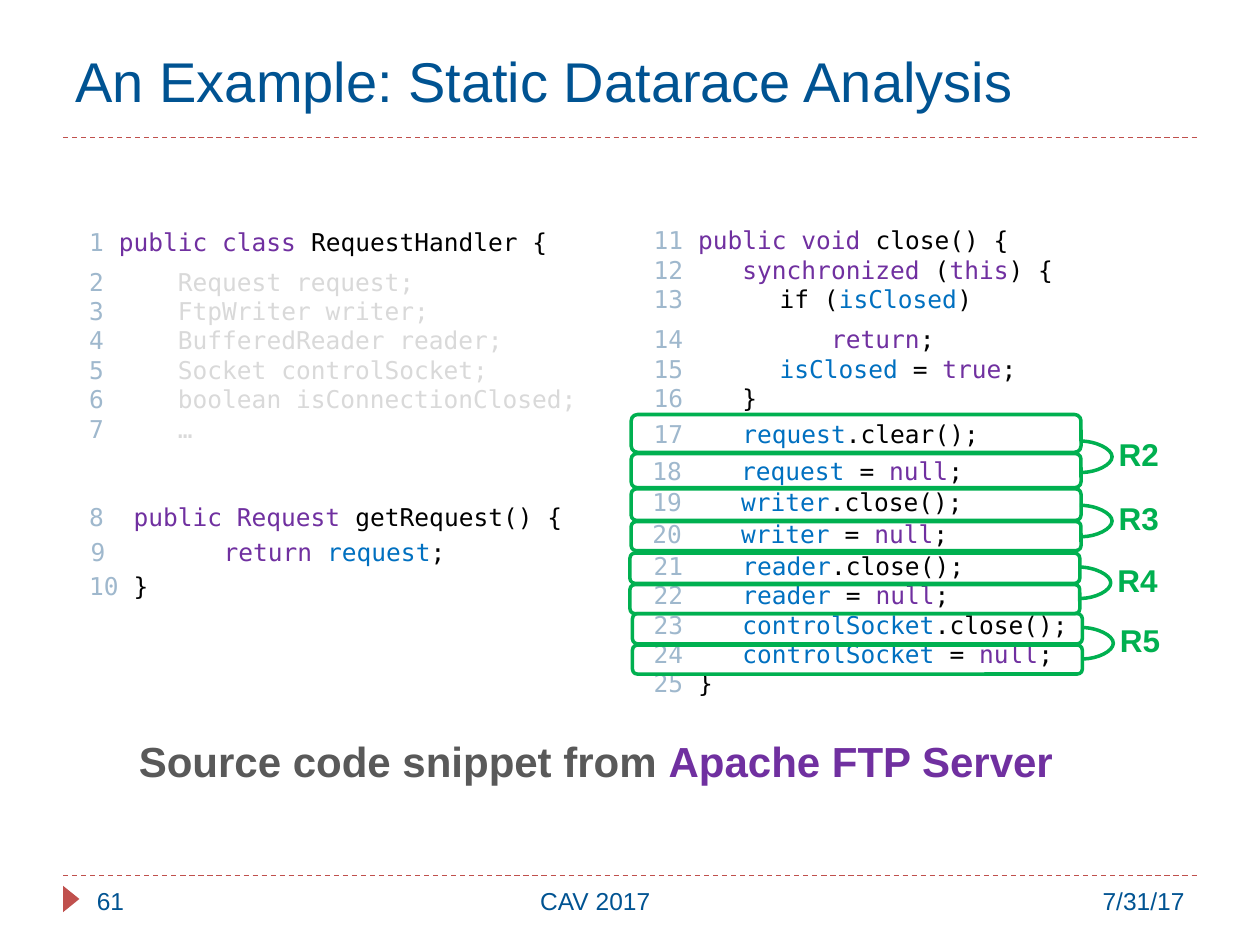
"""Build the slide on static datarace analysis with its annotated code listing."""
from dataclasses import dataclass
from typing import NamedTuple

from lxml.etree import SubElement
from pptx import Presentation
from pptx.dml.color import RGBColor
from pptx.enum.dml import MSO_LINE
from pptx.enum.shapes import MSO_CONNECTOR, MSO_SHAPE
from pptx.enum.text import MSO_ANCHOR, PP_ALIGN
from pptx.oxml.ns import qn
from pptx.util import Inches, Pt

COLUMNS, ROWS = 20, 15
WIDTH, HEIGHT = Inches(10), Inches(7.5)
COLORS = {
    "number": "9FB8CD", "keyword": "7030A0", "field": "0070C0", "plain": "000000",
    "faded": "D9D9D9", "heading": "005392", "rule": "C0504D", "race": "00B050",
    "caption": "595959",
}
CODE_FONT, TEXT_FONT = "DejaVu Sans Mono", "Arial"


class Box(NamedTuple):
    """Hold a place on the slide grid, in columns and rows."""
    column: float
    row: float
    columns: float
    rows: float


class Token(NamedTuple):
    """Hold a piece of text and the name of its colour."""
    text: str
    color: str = "plain"


@dataclass
class Line:
    """Describe one line of text and the gap above it in points."""
    tokens: list[Token]
    gap: float = 0


@dataclass
class Race:
    """Describe a racing pair of statements."""
    label: str
    left: float
    frames: tuple[tuple[float, float], tuple[float, float]]
    arc_row: float


def code(number: str, *tokens: Token, gap: float = 0) -> Line:
    """Return a code line led by its number."""
    return Line([Token(number, "number"), *tokens], gap)


def keyword(text: str) -> Token:
    """Return a keyword token."""
    return Token(text, "keyword")


def field(text: str) -> Token:
    """Return a field token."""
    return Token(text, "field")


def close_call(number: int, name: str, method: str = "close", gap: float = 0) -> Line:
    """Return a line that calls a method of a field."""
    return code(f"{number}    ", field(name), Token(f".{method}();"), gap=gap)


def null_assignment(number: int, name: str) -> Line:
    """Return a line that sets a field to null."""
    return code(f"{number}    ", field(f"{name} "), Token("= "), keyword("null"), Token(";"))


DECLARATIONS = ["Request request;", "FtpWriter writer;", "BufferedReader reader;",
                "Socket controlSocket;", "boolean isConnectionClosed;", "…"]
HANDLER_CODE = [
    code("1 ", keyword("public class "), Token("RequestHandler {")),
    *(code(f"{number}     ", Token(text, "faded"), gap=6 if number == 2 else 0)
      for number, text in enumerate(DECLARATIONS, 2)),
    code("8  ", keyword("public Request "), Token("getRequest() {"), gap=33.6),
    code("10", Token(" }"), gap=22.8),
]
CLOSE_CODE = [
    code("11 ", keyword("public void "), Token("close() {")),
    code("12    ", keyword("synchronized"), Token(" ("), keyword("this"), Token(") {")),
    code("13", Token("    \tif ("), field("isClosed"), Token(")")),
    code("14          ", keyword("return"), Token(";"), gap=6),
    code("15    \t", field("isClosed "), Token("= "), keyword("true"), Token(";")),
    code("16", Token("    }")),
    close_call(21, "reader", gap=79),
    null_assignment(22, "reader"),
    close_call(23, "controlSocket"),
    null_assignment(24, "controlSocket"),
    code("25 ", Token("}")),
]
CODE_BLOCKS = [
    (Box(1.22, 3.5, 8.66, 9.2), HANDLER_CODE),
    (Box(1.24, 8.42, 6.04, 0.68),
     [code("9        ", keyword("return "), field("request"), Token(";"))]),
    (Box(10.18, 3.48, 9.6, 7.78), CLOSE_CODE),
    (Box(10.18, 6.56, 6, 0.68), [close_call(17, "request", "clear")]),
    (Box(10.16, 7.14, 6, 0.68), [null_assignment(18, "request")]),
    (Box(10.16, 7.64, 6, 0.68), [close_call(19, "writer")]),
    (Box(10.16, 8.14, 6, 0.68), [null_assignment(20, "writer")]),
]
RACES = [
    Race("R2", 10.02, ((6.58, 0.6), (7.2, 0.54)), 7),
    Race("R3", 10.02, ((7.76, 0.5), (8.28, 0.46)), 8.02),
    Race("R4", 10, ((8.78, 0.48), (9.28, 0.46)), 9),
    Race("R5", 10.04, ((9.74, 0.48), (10.24, 0.46)), 9.96),
]
FOOTERS = [
    ("61", Box(1.34, 13.96, 1.78, 0.8), PP_ALIGN.LEFT),
    ("CAV 2017", Box(3.12, 13.96, 12.66, 0.8), PP_ALIGN.CENTER),
    ("7/31/17", Box(14, 13.96, 5, 0.8), PP_ALIGN.RIGHT),
]


def color(name: str) -> RGBColor:
    """Return the named colour."""
    return RGBColor.from_string(COLORS[name])


def place(box: Box) -> tuple[int, int, int, int]:
    """Turn grid units into slide lengths."""
    return (int(box.column * WIDTH / COLUMNS), int(box.row * HEIGHT / ROWS),
            int(box.columns * WIDTH / COLUMNS), int(box.rows * HEIGHT / ROWS))


def add_text(slide, box: Box, lines: list[Line], size: float, font: str = TEXT_FONT,
             bold: bool = False, align=PP_ALIGN.LEFT, wrap: bool = True) -> None:
    """Add a text box with one paragraph per line."""
    frame = slide.shapes.add_textbox(*place(box)).text_frame
    frame.word_wrap = wrap
    for index, line in enumerate(lines):
        paragraph = frame.add_paragraph() if index else frame.paragraphs[0]
        paragraph.alignment = align
        paragraph.space_before = Pt(line.gap)
        paragraph.font.name, paragraph.font.size, paragraph.font.bold = font, Pt(size), bold
        for token in line.tokens:
            run = paragraph.add_run()
            run.text = token.text
            run.font.color.rgb = color(token.color)


def add_line(slide, kind, box: Box, color_name: str, width: float):
    """Add a connector across a box, without shadow."""
    left, top, across, down = place(box)
    connector = slide.shapes.add_connector(kind, left, top, left + across, top + down)
    connector.line.color.rgb = color(color_name)
    connector.line.width = Pt(width)
    SubElement(connector.element.spPr, qn("a:effectLst"))
    return connector


def add_race(slide, race: Race) -> None:
    """Frame two statements and join them with a labelled curve."""
    curve = add_line(slide, MSO_CONNECTOR.CURVE,
                     Box(race.left + 7.12, race.arc_row, 0.02, 0.5), "race", 2)
    geometry = curve.element.spPr.find(qn("a:prstGeom"))
    guides = geometry.get_or_add_avLst()
    SubElement(guides, qn("a:gd"), name="adj1", fmla="val 2600000")
    for row, rows in race.frames:
        frame = slide.shapes.add_shape(MSO_SHAPE.ROUNDED_RECTANGLE,
                                       *place(Box(race.left, row, 7.14, rows)))
        frame.shadow.inherit = False
        frame.fill.background()
        frame.line.color.rgb = color("race")
        frame.line.width = Pt(2)
    add_text(slide, Box(race.left + 7.54, race.arc_row - 0.2, 1.04, 0.8),
             [Line([Token(race.label, "race")])], 18, bold=True, wrap=False)


def add_title(slide, text: str) -> None:
    """Fill and format the title placeholder."""
    title = slide.shapes.title
    title.left, title.top, title.width, title.height = place(Box(1, 0.34, 18, 1.86))
    title.text_frame.text = text
    title.text_frame.vertical_anchor = MSO_ANCHOR.MIDDLE
    paragraph = title.text_frame.paragraphs[0]
    paragraph.alignment = PP_ALIGN.LEFT
    paragraph.font.name, paragraph.font.size = TEXT_FONT, Pt(32)
    paragraph.font.color.rgb = color("heading")


def main() -> None:
    """Build and save the presentation."""
    presentation = Presentation()
    presentation.slide_width, presentation.slide_height = WIDTH, HEIGHT
    slide = presentation.slides.add_slide(presentation.slide_layouts[5])
    for row in (13.9, 2.18):
        rule = add_line(slide, MSO_CONNECTOR.STRAIGHT, Box(1, row, 18, 0), "rule", 0.75)
        rule.line.dash_style = MSO_LINE.DASH
    marker = slide.shapes.add_shape(MSO_SHAPE.ISOSCELES_TRIANGLE,
                                    *place(Box(0.92, 14.14, 0.42, 0.26)))
    marker.rotation = 90
    marker.shadow.inherit = False
    marker.fill.solid()
    marker.fill.fore_color.rgb = color("rule")
    marker.line.fill.background()
    add_title(slide, "An Example: Static Datarace Analysis")
    for box, lines in CODE_BLOCKS:
        add_text(slide, box, lines, 14, CODE_FONT)
    for text, box, align in FOOTERS:
        add_text(slide, box, [Line([Token(text, "heading")])], 14, align=align)
    caption = [Token("Source code snippet from ", "caption"), keyword("Apache FTP Server")]
    add_text(slide, Box(0.46, 11.58, 18, 1.04), [Line(caption)], 24, bold=True,
             align=PP_ALIGN.CENTER)
    for race in RACES:
        add_race(slide, race)
    presentation.save("out.pptx")


if __name__ == "__main__":
    main()
